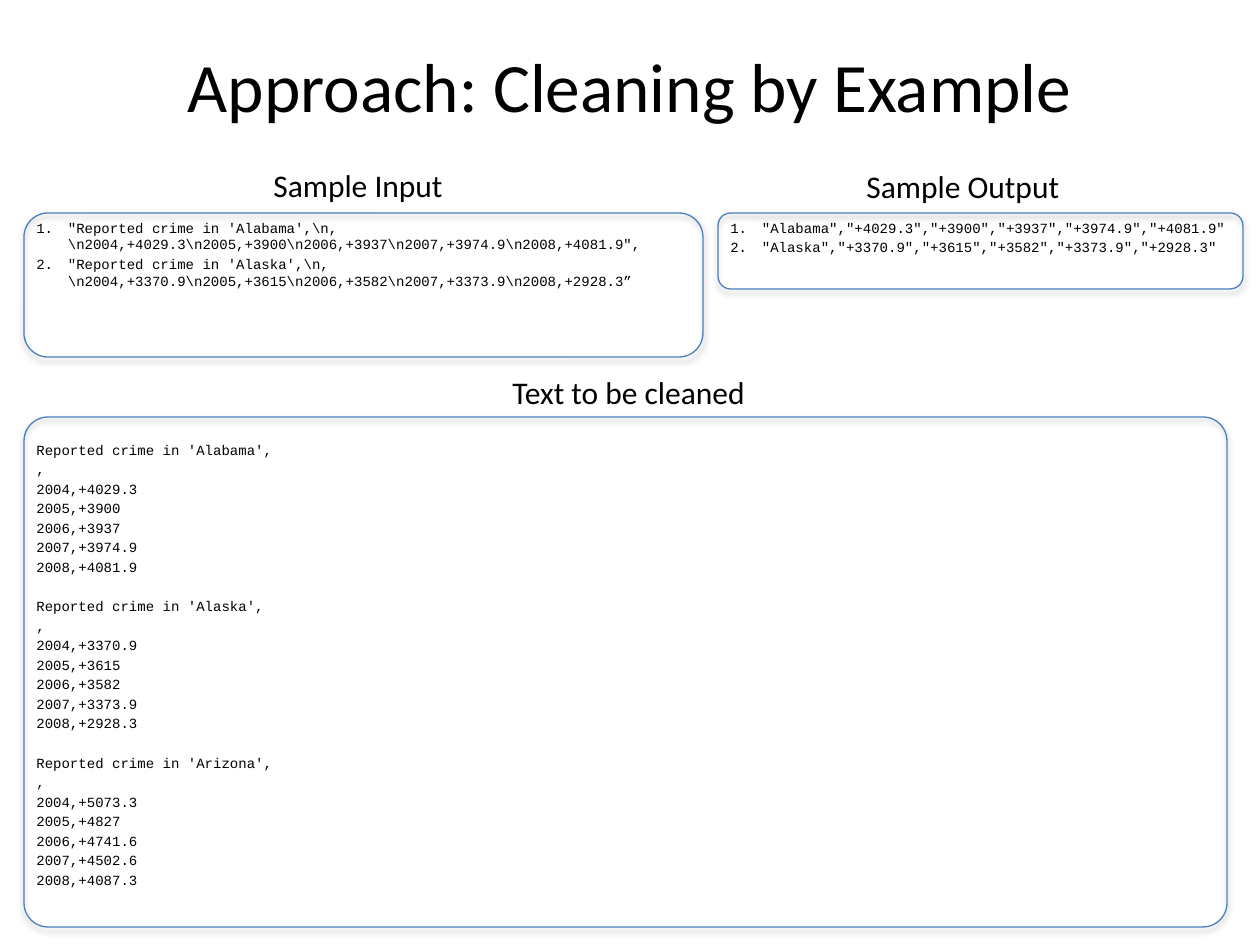
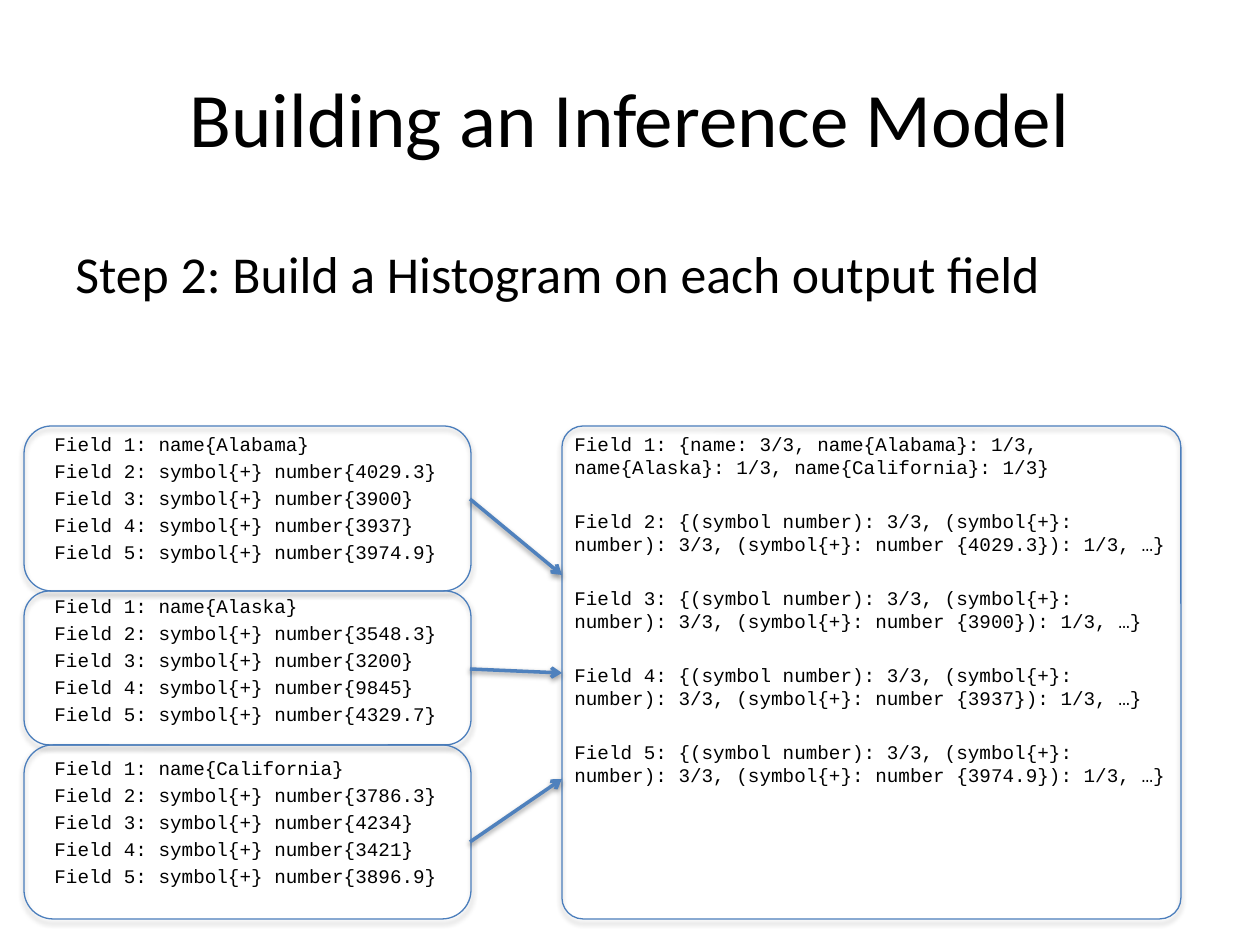
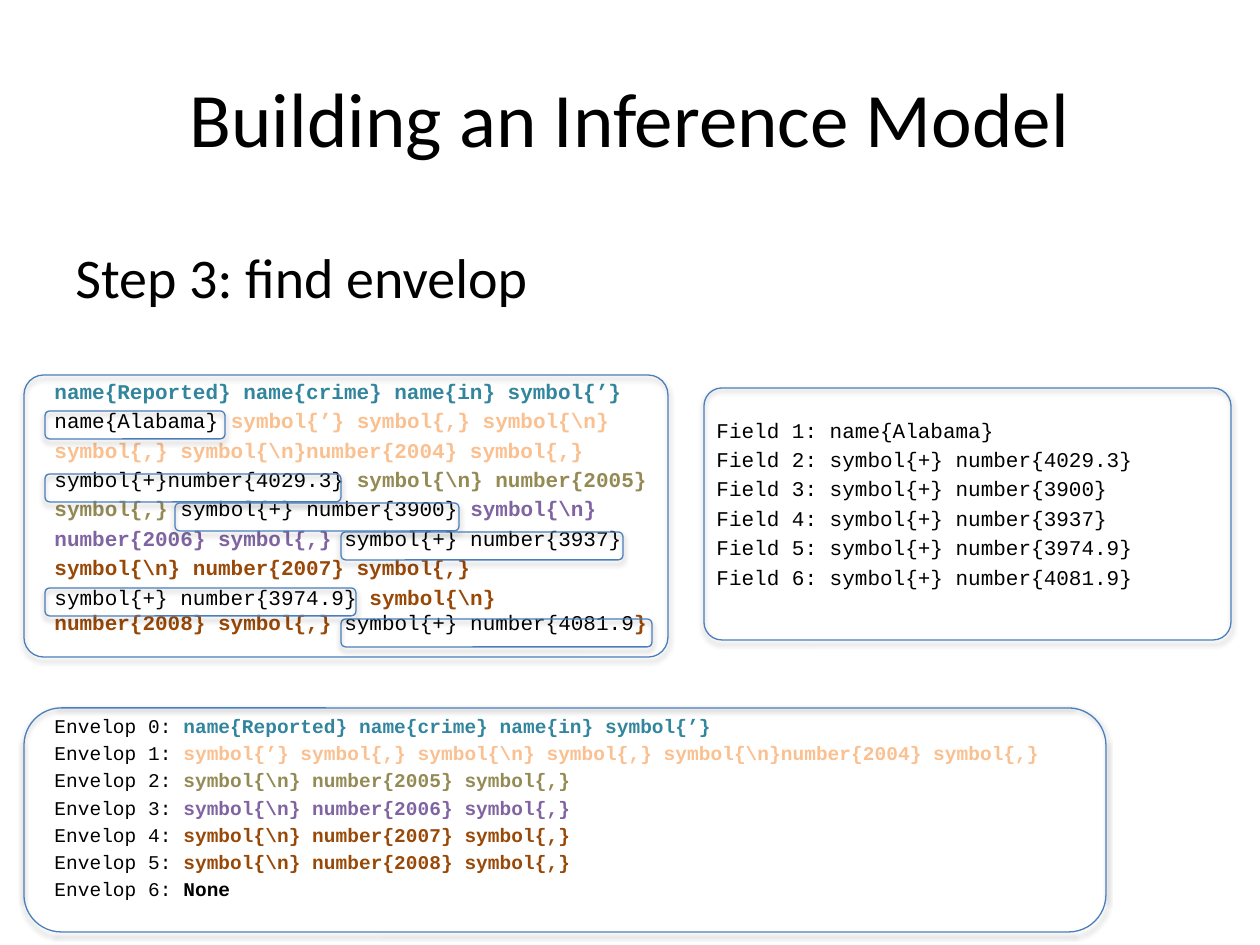
from dataclasses import dataclass
from typing import NamedTuple, Optional, Sequence, Union

from lxml import etree
from pptx import Presentation
from pptx import util as u
from pptx.dml.color import RGBColor
from pptx.enum import shapes, text
from pptx.oxml.ns import qn

EMU_PER_PIXEL = u.Inches(1) / 126


# Theme: colours, fonts and type sizes
@dataclass(frozen=True)
class Theme:
    ink: str = "000000"
    outline: str = "4B7EBC"
    arrow: str = "4F81BD"
    teal: str = "31859C"
    peach: str = "FAC090"
    olive: str = "948A54"
    violet: str = "8064A2"
    brown: str = "984807"
    sans: str = "Calibri"
    mono: str = "Courier New"
    title: float = 44
    title_small: float = 39.6
    step: float = 32
    step_small: float = 29.6
    label: float = 18
    code_large: float = 12
    code_envelop: float = 11.1
    code: float = 11
    code_small: float = 8


THEME = Theme()


class Box(NamedTuple):
    left: int
    top: int
    width: int
    height: int


class Run(NamedTuple):
    text: str
    color: str = THEME.ink
    bold: bool = False


class Para(NamedTuple):
    runs: Sequence[Run]
    lines_above: int = 0


class Panel(NamedTuple):
    box: Box
    corner: Optional[float] = None


class Arrow(NamedTuple):
    x1: int
    y1: int
    x2: int
    y2: int


class State(NamedTuple):
    name: str
    rates: Sequence[str]


# Drawing functions
def px(length: float) -> u.Emu:
    return u.Emu(round(length * EMU_PER_PIXEL))


def cast_shadow(effects, alpha: int, distance: float) -> None:
    shadow = etree.SubElement(
        effects, qn("a:outerShdw"), blurRad=str(u.Pt(3.1)), dist=str(u.Pt(distance)),
        dir="5400000", rotWithShape="0")
    black = etree.SubElement(shadow, qn("a:srgbClr"), val=THEME.ink)
    etree.SubElement(black, qn("a:alpha"), val=str(alpha * 1000))


def draw_panel(slide, panel: Panel) -> None:
    shape = slide.shapes.add_shape(
        shapes.MSO_SHAPE.ROUNDED_RECTANGLE, *map(px, panel.box))
    if panel.corner is not None:
        shape.adjustments[0] = panel.corner
    shape.fill.background()
    shape.line.color.rgb = RGBColor.from_string(THEME.outline)
    shape.line.width = u.Pt(0.75)
    shape.shadow.inherit = False
    cast_shadow(shape.element.spPr.find(qn("a:effectLst")), alpha=35, distance=1.8)


def draw_arrow(slide, arrow: Arrow) -> None:
    connector = slide.shapes.add_connector(
        shapes.MSO_CONNECTOR.STRAIGHT, *map(px, arrow))
    connector.line.color.rgb = RGBColor.from_string(THEME.arrow)
    connector.line.width = u.Pt(2)
    properties = connector.element.spPr
    etree.SubElement(properties.find(qn("a:ln")), qn("a:tailEnd"), type="arrow")
    cast_shadow(etree.SubElement(properties, qn("a:effectLst")), alpha=38, distance=1.6)


def number_paragraph(paragraph) -> None:
    properties = paragraph._p.get_or_add_pPr()
    properties.set("marL", str(u.Inches(0.25)))
    properties.set("indent", str(-u.Inches(0.25)))
    etree.SubElement(properties, qn("a:buFont"), typeface="+mj-lt")
    etree.SubElement(properties, qn("a:buAutoNum"), type="arabicPeriod")


def write(slide, box: Box, content: Sequence[Union[str, Para]], *, size: float,
          font: str = THEME.mono, spacing: float = 0.2, centered: bool = False,
          numbered: bool = False) -> None:
    """Write paragraphs; spacing is a share of the type size."""
    frame = slide.shapes.add_textbox(*map(px, box)).text_frame
    frame.word_wrap = True
    if centered:
        frame.vertical_anchor = text.MSO_ANCHOR.MIDDLE
    for index, item in enumerate(content):
        para = Para([Run(item)]) if isinstance(item, str) else item
        paragraph = frame.add_paragraph() if index else frame.paragraphs[0]
        if centered:
            paragraph.alignment = text.PP_ALIGN.CENTER
        # A skipped line is as tall as a line plus its own spacing
        skipped = para.lines_above * (1.2 + spacing)
        paragraph.space_before = u.Pt(round(size * (spacing + skipped), 2))
        if numbered:
            number_paragraph(paragraph)
        for part in para.runs:
            run = paragraph.add_run()
            run.text = part.text
            run.font.name = font
            run.font.size = u.Pt(size)
            run.font.bold = part.bold
            run.font.color.rgb = RGBColor.from_string(part.color)


def write_title(slide, title: str, *, height: int = 158,
                size: float = THEME.title) -> None:
    write(slide, Box(63, 38, 1134, height), [title], size=size, font=THEME.sans,
          spacing=0, centered=True)


def write_step(slide, step: str, *, size: float) -> None:
    write(slide, Box(63, 236, 1134, 106), [step], size=size, font=THEME.sans)


def marked(words: str, color: str) -> Run:
    return Run(words, color, True)


# Crime data and the wordings derived from it
ALABAMA = State("Alabama", ("4029.3", "3900", "3937", "3974.9", "4081.9"))
ALASKA = State("Alaska", ("3370.9", "3615", "3582", "3373.9", "2928.3"))
ARIZONA = State("Arizona", ("5073.3", "4827", "4741.6", "4502.6", "4087.3"))
TOKENIZED = (
    State("Alabama", ALABAMA.rates[:4]),
    State("Alaska", ("3548.3", "3200", "9845", "4329.7")),
    State("California", ("3786.3", "4234", "3421", "3896.9")),
)


def report_lines(state: State) -> list[str]:
    years = [f"{year},+{rate}" for year, rate in enumerate(state.rates, 2004)]
    return [f"Reported crime in '{state.name}',", ",", *years]


def input_record(state: State, ending: str) -> str:
    return '"' + r"\n".join(report_lines(state)) + ending


def output_record(state: State) -> str:
    return ",".join(f'"{cell}"' for cell in
                    (state.name, *(f"+{rate}" for rate in state.rates)))


def field_lines(state: State) -> list[str]:
    tokens = [f"name{{{state.name}}}",
              *(f"symbol{{+}} number{{{rate}}}" for rate in state.rates)]
    return [f"Field {number}: {token}" for number, token in enumerate(tokens, 1)]


def spaced_groups(groups: Sequence[Sequence[str]]) -> list[Para]:
    """Join groups of lines with one line of space between groups."""
    return [Para([Run(line)], int(group_index > 0 and line_index == 0))
            for group_index, group in enumerate(groups)
            for line_index, line in enumerate(group)]


# Slide 1: samples and text to be cleaned
def build_examples(slide) -> None:
    for panel in (Panel(Box(718, 213, 525, 76)), Panel(Box(24, 213, 679, 144)),
                  Panel(Box(24, 417, 1203, 510), 0.047)):
        draw_panel(slide, panel)
    write_title(slide, "Approach: Cleaning by Example", height=93,
                size=THEME.title_small)
    write(slide, Box(24, 213, 679, 125),
          [input_record(ALABAMA, '",'), input_record(ALASKA, "”")],
          size=THEME.code_small, numbered=True)
    write(slide, Box(718, 213, 542, 71), [output_record(ALABAMA), output_record(ALASKA)],
          size=THEME.code_small, numbered=True)
    write(slide, Box(24, 435, 1221, 492),
          spaced_groups([report_lines(state) for state in (ALABAMA, ALASKA, ARIZONA)]),
          size=THEME.code_small)
    for label, box in (("Sample Input", Box(261, 160, 204, 50)),
                       ("Sample Output", Box(854, 161, 218, 50)),
                       ("Text to be cleaned", Box(500, 367, 272, 50))):
        write(slide, box, [label], size=THEME.label, font=THEME.sans, spacing=0)


# Slide 2: histogram of each output field
def build_histogram(slide) -> None:
    tops = (426, 591, 745, 919)
    for top, bottom in zip(tops, tops[1:]):
        draw_panel(slide, Panel(Box(24, top, 447, bottom - top)))
    histogram_box = Box(562, tops[0], 619, tops[-1] - tops[0])
    draw_panel(slide, Panel(histogram_box, 0.043))
    write_title(slide, "Building an Inference Model")
    write_step(slide, "Step 2: Build a Histogram on each output field",
               size=THEME.step_small)
    write(slide, Box(42, 426, 441, 493),
          spaced_groups([field_lines(state) for state in TOKENIZED]), size=THEME.code)

    names = ", ".join(f"name{{{state.name}}}: 1/3" for state in TOKENIZED)
    histogram = [[f"Field 1: {{name: 3/3, {names}}}"]]
    for number, rate in enumerate(TOKENIZED[0].rates, 2):
        histogram.append([
            f"Field {number}: {{(symbol number): 3/3, (symbol{{+}}: number): 3/3, "
            f"(symbol{{+}}: number {{{rate}}}): 1/3, …}}"])
    write(slide, histogram_box, spaced_groups(histogram), size=THEME.code)
    for start, end in ((499, 575), (669, 673), (842, 779)):
        draw_arrow(slide, Arrow(470, start, 562, end))


# Slide 3: envelops around the fields
def build_envelops(slide) -> None:
    for panel in (Panel(Box(24, 708, 1082, 224)), Panel(Box(24, 375, 644, 282), 0.07),
                  Panel(Box(704, 388, 527, 252), 0.071)):
        draw_panel(slide, panel)
    write_title(slide, "Building an Inference Model")
    write_step(slide, "Step 3: find envelop", size=THEME.step)

    opening = marked("name{Reported} name{crime} name{in} symbol{’}", THEME.teal)
    tokens = [
        [opening],
        [Run("name{Alabama} "), marked(r"symbol{’} symbol{,} symbol{\n}", THEME.peach)],
        [marked(r"symbol{,} symbol{\n}number{2004} symbol{,}", THEME.peach)],
        [Run("symbol{+}number{4029.3} "),
         marked(r"symbol{\n} number{2005}", THEME.olive)],
        [marked("symbol{,} ", THEME.olive), Run("symbol{+} number{3900} "),
         marked(r"symbol{\n}", THEME.violet)],
        [marked("number{2006} symbol{,} ", THEME.violet), Run("symbol{+} number{3937}")],
        [marked(r"symbol{\n} number{2007} symbol{,}", THEME.brown)],
        [Run("symbol{+} number{3974.9} "),
         marked(r"symbol{\n} number{2008} symbol{,} ", THEME.brown),
         Run("symbol{+} number{4081.9"), marked("}", THEME.brown)],
    ]
    write(slide, Box(42, 372, 626, 286), [Para(runs) for runs in tokens],
          size=THEME.code_large)
    write(slide, Box(704, 411, 513, 204), field_lines(ALABAMA), size=THEME.code_large)

    year_colors = (THEME.olive, THEME.violet, THEME.brown, THEME.brown)
    envelops = [
        opening,
        marked(r"symbol{’} symbol{,} symbol{\n} symbol{,} symbol{\n}number{2004} symbol{,}",
               THEME.peach),
        *(marked(rf"symbol{{\n}} number{{{year}}} symbol{{,}}", color)
          for year, color in enumerate(year_colors, 2005)),
        marked("None", THEME.ink),
    ]
    write(slide, Box(42, 708, 1038, 209),
          [Para([Run(f"Envelop {number}: "), envelop])
           for number, envelop in enumerate(envelops)], size=THEME.code_envelop)

    # Frames around the field values
    for left, top, width in ((45, 411, 180), (45, 474, 296), (175, 503, 284),
                             (341, 532, 282), (341, 619, 311), (45, 588, 311)):
        draw_panel(slide, Panel(Box(left, top, width, 28)))


def main() -> None:
    deck = Presentation()
    deck.slide_width, deck.slide_height = u.Inches(10), u.Inches(7.5)
    for build in (build_examples, build_histogram, build_envelops):
        build(deck.slides.add_slide(deck.slide_layouts[6]))
    deck.save("out.pptx")


main()
